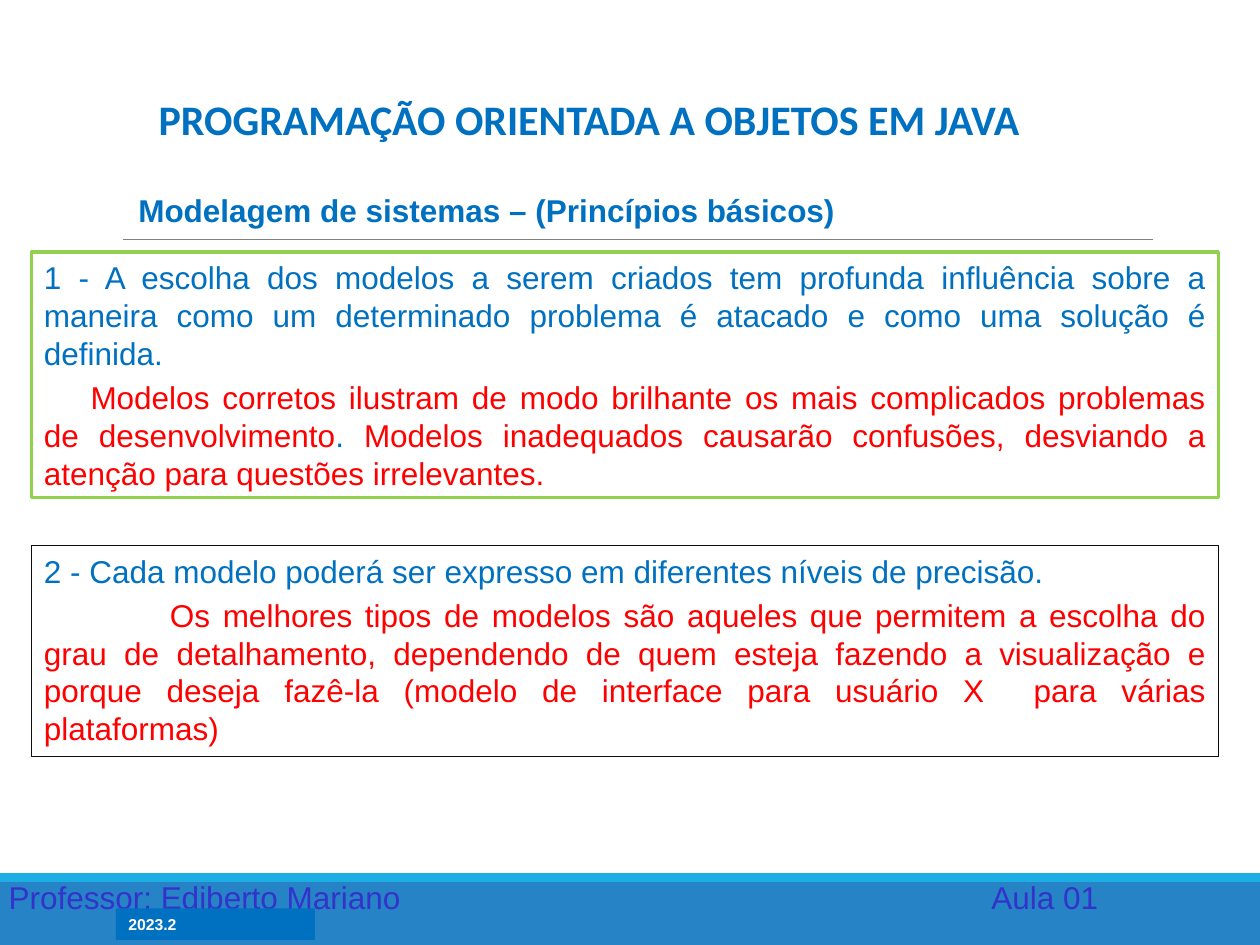
from dataclasses import dataclass

from pptx import Presentation
from pptx.dml.color import RGBColor
from pptx.enum.shapes import MSO_CONNECTOR, MSO_SHAPE
from pptx.enum.text import MSO_ANCHOR as Anchor, PP_ALIGN as Align
from pptx.oxml.ns import qn
from pptx.util import Inches, Pt
from lxml import etree


@dataclass(frozen=True)
class Theme:
    blue: str = "0070C0"
    red: str = "FF0000"
    green: str = "92D050"
    ink: str = "0D0D0D"
    rule: str = "7F7F7F"
    band: str = "2683C6"
    stripe: str = "1CADE4"
    footer: str = "3333CC"
    white: str = "FFFFFF"
    title: int = 24
    body: int = 18
    tag: int = 9


theme = Theme()
deck = Presentation()
deck.slide_width, deck.slide_height = Inches(10), Inches(7.5)
page = deck.slides.add_slide(deck.slide_layouts[6])


def add_box(place, fill=None, line=None, width=0.5):
    """Add a rectangle with wrapped text, filled or outlined on request."""
    box = page.shapes.add_shape(MSO_SHAPE.RECTANGLE, *map(Inches, place))
    box.shadow.inherit = False
    for part, color in ((box.fill, fill), (box.line.fill, line)):
        if color:
            part.solid()
            part.fore_color.rgb = RGBColor.from_string(color)
        else:
            part.background()
    if line:
        box.line.width = Pt(width)
    box.text_frame.word_wrap = True
    box.text_frame.vertical_anchor = Anchor.TOP
    return box


def write(para, spans, size, align=Align.LEFT, font="Arial", bold=False):
    """Fill a paragraph with (text, color) spans."""
    para.alignment = align
    for text, color in spans:
        span = para.add_run()
        span.text = text
        look = {"name": font, "size": Pt(size), "bold": bold}
        for key, value in look.items():
            setattr(span.font, key, value)
        span.font.color.rgb = RGBColor.from_string(color)


# Footer band and rule under the heading
add_box((0, 6.93, 10, 0.57), theme.band)
add_box((0, 6.93, 10, 0.07), theme.stripe)
rule = page.shapes.add_connector(
    MSO_CONNECTOR.STRAIGHT, Inches(0.98), Inches(1.9), Inches(9.15), Inches(1.9))
rule.line.color.rgb = RGBColor.from_string(theme.rule)
rule.line.width = Pt(0.5)
etree.SubElement(rule._element.spPr, qn("a:effectLst"))

# Footer text, with a tab stop for the lesson number
footer = add_box((-0.03, 6.92, 9, 0.4)).text_frame.paragraphs[0]
write(footer, [("Professor: Ediberto Mariano\tAula 01", theme.footer)], theme.body)
tabs = etree.SubElement(footer._p.get_or_add_pPr(), qn("a:tabLst"))
etree.SubElement(tabs, qn("a:tab"), pos=str(Inches(7.8)), algn="l")

term = add_box((0.92, 7.21, 1.58, 0.25), theme.blue)
write(term.text_frame.paragraphs[0], [("2023.2", theme.white)], theme.tag, bold=True)

# Title and heading
title = add_box((1.03, 0.67, 7.29, 0.52))
title.text_frame.vertical_anchor = Anchor.BOTTOM
write(title.text_frame.paragraphs[0],
      [("PROGRAMAÇÃO ORIENTADA A OBJETOS EM JAVA", theme.blue)],
      theme.title, Align.CENTER, "Calibri", True)
heading = add_box((1, 1.47, 8.67, 0.4))
write(heading.text_frame.paragraphs[0],
      [("Modelagem de sistemas – (Princípios básicos)", theme.blue)],
      theme.body, bold=True)

# Principles: place, outline, outline width, indent of the comment, texts
principles = [
    ((0.25, 2, 9.42, 1.95), theme.green, 1.75, 0.37,
     "1 - A escolha dos modelos a serem criados tem profunda influência sobre a "
     "maneira como um determinado problema é atacado e como uma solução é definida.",
     [("Modelos corretos ilustram de modo brilhante os mais complicados problemas "
       "de desenvolvimento", theme.red),
      (". ", theme.blue),
      ("Modelos inadequados causarão confusões, desviando a atenção para questões "
       "irrelevantes.", theme.red)]),
    ((0.25, 4.33, 9.42, 1.67), theme.ink, 0.25, 1,
     "2 - Cada modelo poderá ser expresso em diferentes níveis de precisão.",
     [("Os melhores tipos de modelos são aqueles que permitem a escolha do grau de "
       "detalhamento, dependendo de quem esteja fazendo a visualização e porque "
       "deseja fazê-la (modelo de interface para usuário X  para várias "
       "plataformas)", theme.red)]),
]
for place, outline, width, indent, statement, comment in principles:
    frame = add_box(place, line=outline, width=width).text_frame
    first, second = frame.paragraphs[0], frame.add_paragraph()
    write(first, [(statement, theme.blue)], theme.body, Align.JUSTIFY)
    write(second, comment, theme.body, Align.JUSTIFY)
    second._p.get_or_add_pPr().set("indent", str(Inches(indent)))
    for para, before in ((first, 2.4), (second, 3.6)):
        para.line_spacing = 1.0
        para.space_before = Pt(before)

deck.save("out.pptx")
